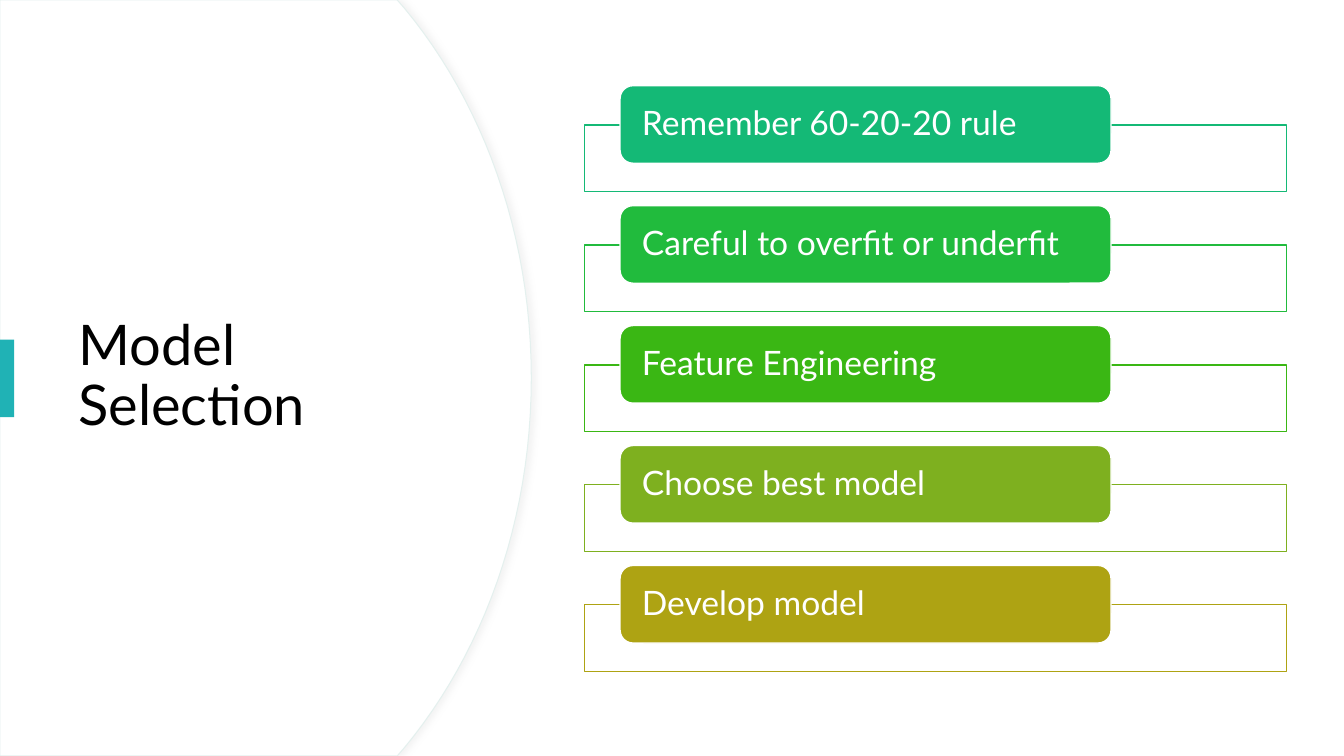
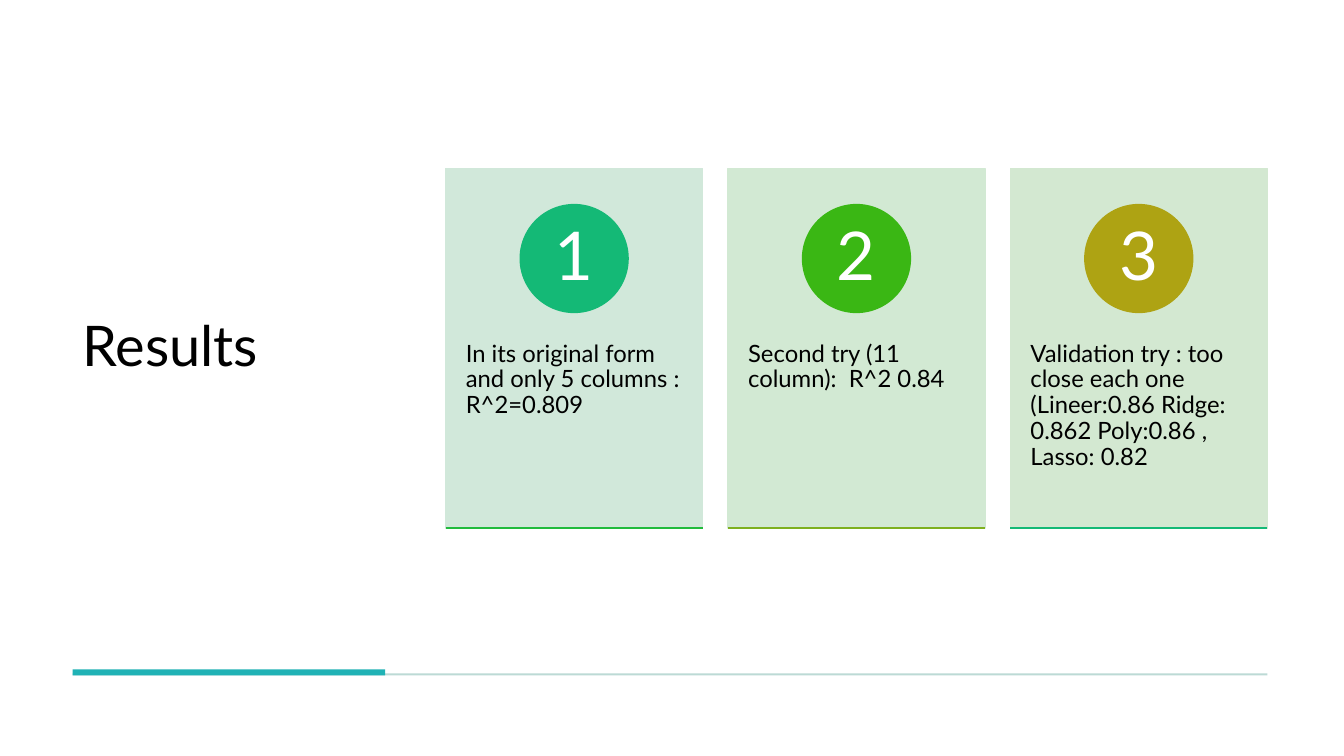
from lxml import etree
from pptx import Presentation
from pptx.dml.color import RGBColor
from pptx.enum.shapes import MSO_CONNECTOR as Link, MSO_SHAPE as Form
from pptx.enum.text import MSO_ANCHOR as Anchor, PP_ALIGN as Align
from pptx.oxml.ns import qn
from pptx.util import Inches, Pt

# Shared style
FONT = "Lato"
BLACK, WHITE = "000000", "FFFFFF"
ACCENT, RULE, EDGE, SHADE = "20B2B5", "BCDAD5", "E4F0EE", "D9D9D9"
HUES = ["14B976", "21BB3D", "3AB714", "7EB01F", "AEA313"]
TITLE = {"size": 40, "tone": BLACK, "anchor": Anchor.MIDDLE}
rgb = RGBColor.from_string


def paint(shape, fill, line=None, width=1):
    shape.shadow.inherit = False
    shape.fill.solid()
    shape.fill.fore_color.rgb = rgb(fill)
    if line:
        shape.line.color.rgb = rgb(line)
        shape.line.width = Pt(width)
    else:
        shape.line.fill.background()
    return shape


def write(shape, text, size, tone, anchor, align=Align.LEFT, pads=(0.1, 0.05, 0.1, 0.05)):
    frame = shape.text_frame
    sides = ("margin_left", "margin_top", "margin_right", "margin_bottom")
    look = dict(zip(sides, map(Inches, pads)))
    look.update(word_wrap=True, vertical_anchor=anchor)
    for name, value in look.items():
        setattr(frame, name, value)
    para = frame.paragraphs[0]
    para.alignment, para.line_spacing = align, 0.9
    run = para.add_run()
    run.text = text
    for name, value in {"name": FONT, "size": Pt(size)}.items():
        setattr(run.font, name, value)
    run.font.color.rgb = rgb(tone)


deck = Presentation()
deck.slide_width, deck.slide_height = Inches(13.33), Inches(7.5)
blank = deck.slide_layouts[6]

# Slide 1: curved panel, drawn as two mirrored Bezier arcs
shapes = deck.slides.add_slide(blank).shapes
xs, ys = (4.01, 4.79, 5.27, 5.27), (0.08, 1.02, 2.32, 3.75)
arc = []
for step in range(25):
    t = step / 24
    mix = ((1 - t) ** 3, 3 * t * (1 - t) ** 2, 3 * t * t * (1 - t), t ** 3)
    arc.append([sum(m * v for m, v in zip(mix, vals)) for vals in (xs, ys)])
low = [(x, 7.5 - y) for x, y in reversed(arc[:-1])]
edge = [(3.94, 0), *arc, *low, (3.94, 7.5), (0, 7.5)]
pen = shapes.build_freeform(0, 0)
pen.add_line_segments([(Inches(x), Inches(y)) for x, y in edge])
panel = paint(pen.convert_to_shape(), WHITE, EDGE, 0.75)

# Soft shadow on the panel
glow = panel.element.spPr.find(qn("a:effectLst"))
cast = etree.SubElement(glow, qn("a:outerShdw"), blurRad=str(Pt(4)), dist=str(Pt(3)), dir="0")
hue = etree.SubElement(cast, qn("a:srgbClr"), val=SHADE)
etree.SubElement(hue, qn("a:alpha"), val="30000")

# Title and side mark
box = shapes.add_textbox(*map(Inches, (0.68, 1.27, 3.94, 4.95)))
write(box, "Model Selection", **TITLE)
paint(shapes.add_shape(Form.RECTANGLE, *map(Inches, (0, 3.37, 0.14, 0.77))), ACCENT)

# Steps: an outlined tray with a label on top
steps = ["Remember 60-20-20 rule", "Careful to overfit or underfit",
         "Feature Engineering", "Choose best model", "Develop model"]
for i, (text, tone) in enumerate(zip(steps, HUES)):
    top = 0.85 + 1.19 * i
    tray = shapes.add_shape(Form.RECTANGLE, *map(Inches, (5.8, top + 0.39, 6.96, 0.66)))
    paint(tray, WHITE, tone)
    label = shapes.add_shape(Form.ROUNDED_RECTANGLE, *map(Inches, (6.15, top, 4.87, 0.77)))
    paint(label, tone, WHITE)
    write(label, text, 24, WHITE, Anchor.MIDDLE, pads=(0.18, 0, 0.18, 0))

# Slide 2: title and footer rule
shapes = deck.slides.add_slide(blank).shapes
box = shapes.add_textbox(*map(Inches, (0.72, 0.47, 3.1, 5.97)))
write(box, "Results", **TITLE)
for spot, tone in [((0.72, 6.68, 11.85, 0.02), RULE), ((0.72, 6.64, 3.1, 0.06), ACCENT)]:
    paint(shapes.add_shape(Form.RECTANGLE, *map(Inches, spot)), tone)

# Result cards: text, numbered disc and base line
cards = [
    ("In its original form and only 5 columns : R^2=0.809", "D1E8DA", HUES[0], HUES[1]),
    ("Second try (11 column):  R^2 0.84", "D2E9D3", HUES[2], HUES[3]),
    ("Validation try : too close each one (Lineer:0.86 Ridge: 0.862 Poly:0.86 , Lasso: 0.82",
     "D3E8D1", HUES[4], HUES[0]),
]
for i, (text, tint, tone, base) in enumerate(cards):
    left = 4.42 + 2.8 * i
    card = shapes.add_shape(Form.RECTANGLE, *map(Inches, (left, 1.67, 2.55, 3.57)))
    write(paint(card, tint, tint), text, 17, BLACK, Anchor.TOP, pads=(0.2, 1.72, 0.2, 0.1))
    disc = shapes.add_shape(Form.OVAL, *map(Inches, (left + 0.74, 2.03, 1.07, 1.07)))
    write(paint(disc, tone, tone), str(i + 1), 48, WHITE, Anchor.MIDDLE,
          Align.CENTER, (0.08, 0.01, 0.08, 0.01))
    foot = shapes.add_connector(Link.STRAIGHT, *map(Inches, (left, 5.24, left + 2.55, 5.24)))
    foot.line.color.rgb = rgb(base)
    foot.line.width = Pt(1)
    etree.SubElement(foot.element.spPr, qn("a:effectLst"))

deck.save("out.pptx")
